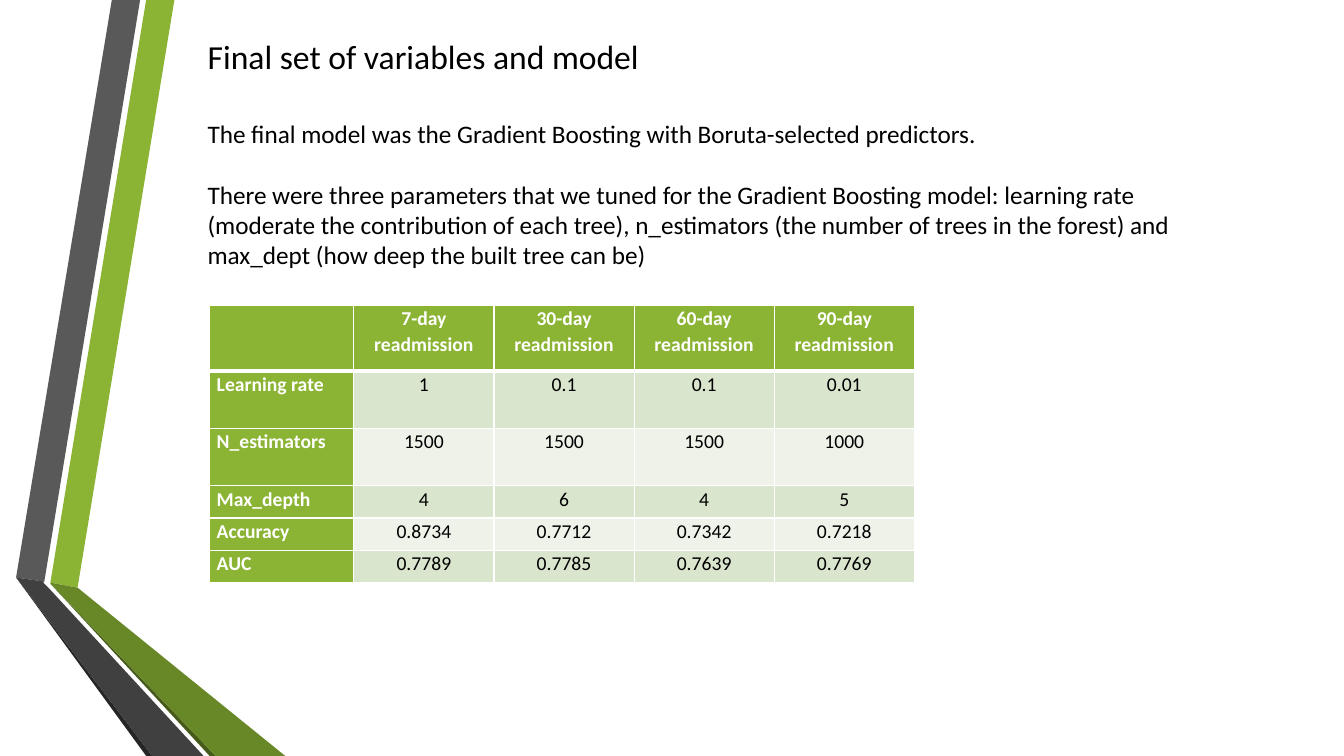
from lxml import etree
from pptx import Presentation
from pptx.dml.color import RGBColor
from pptx.enum.text import MSO_ANCHOR, MSO_AUTO_SIZE, PP_ALIGN
from pptx.oxml.ns import qn
from pptx.util import Inches, Pt

LEFT, CENTER = PP_ALIGN.LEFT, PP_ALIGN.CENTER
TOP = MSO_ANCHOR.TOP
NO_AUTOFIT = MSO_AUTO_SIZE.NONE
TITLE_ONLY = 5

FONT = "Calibri"
GREEN, WHITE, BLACK = "8BB434", "FFFFFF", "000000"
BANDS = ("DAE5CE", "EEF2E8")

RIBBONS = [
    (GREEN, [(0.5, 5.78), (0.77, 5.83), (1.73, 0), (1.45, 0)]),
    ("595959", [(1.39, 0), (1.11, 0), (0.16, 5.73), (0.44, 5.77)]),
    ("262626", [(0.16, 5.73), (1.45, 7.5), (1.51, 7.5)]),
    ("465A1A", [(0.5, 5.79), (2.08, 7.5), (2.14, 7.5)]),
    ("688727", [(0.5, 5.78), (0.5, 5.79), (2.14, 7.5), (2.83, 7.5), (0.77, 5.83)]),
    ("404040", [(2.02, 7.5), (0.48, 5.83), (0.43, 5.78), (0.44, 5.77),
                (0.16, 5.73), (1.51, 7.5)]),
]

PARAGRAPHS = [
    "The final model was the Gradient Boosting with Boruta-selected predictors.",
    "There were three parameters that we tuned for the Gradient Boosting model: "
    "learning rate (moderate the contribution of each tree), n_estimators (the number "
    "of trees in the forest) and max_dept (how deep the built tree can be)",
]

RESULTS = [
    ["", "7-day readmission", "30-day readmission", "60-day readmission",
     "90-day readmission"],
    ["Learning rate", "1", "0.1", "0.1", "0.01"],
    ["N_estimators", "1500", "1500", "1500", "1000"],
    ["Max_depth", "4", "6", "4", "5"],
    ["Accuracy", "0.8734", "0.7712", "0.7342", "0.7218"],
    ["AUC", "0.7789", "0.7785", "0.7639", "0.7769"],
]
COLUMN_WIDTHS = [1.43] + [1.39] * 4
ROW_HEIGHTS = [0.65, 0.57, 0.57, 0.32, 0.32, 0.32]


def rgb(value):
    return RGBColor.from_string(value)


def write(para, text, size, color=BLACK, bold=False, align=LEFT, before=0, spacing=1.0):
    para.alignment = align
    para.space_before = Pt(before)
    para.line_spacing = spacing
    para.font.size = Pt(size)
    if text:
        span = para.add_run()
        span.text = text
        span.font.name = FONT
        span.font.size = Pt(size)
        span.font.bold = bold
        span.font.color.rgb = rgb(color)


def place(shape, left, top, width, height):
    shape.left, shape.top = Inches(left), Inches(top)
    shape.width, shape.height = Inches(width), Inches(height)


def add_ribbon(page, color, points):
    corners = [(Inches(x), Inches(y)) for x, y in points]
    builder = page.shapes.build_freeform(*corners[0])
    builder.add_line_segments(corners[1:], close=True)
    ribbon = builder.convert_to_shape()
    ribbon.shadow.inherit = False
    ribbon.fill.solid()
    ribbon.fill.fore_color.rgb = rgb(color)
    ribbon.line.fill.background()


def set_title(page, text):
    title = page.shapes.title
    place(title, 1.96, 0.31, 4.56, 0.5)
    frame = title.text_frame
    frame.auto_size = NO_AUTOFIT
    frame.word_wrap = False
    frame.vertical_anchor = TOP
    write(frame.paragraphs[0], text, 24)


def add_body(page, texts):
    box = page.shapes.add_textbox(Inches(1.96), Inches(1.12), Inches(10.48), Inches(1.92))
    frame = box.text_frame
    frame.word_wrap = True
    for index, text in enumerate(texts):
        para = frame.add_paragraph() if index else frame.paragraphs[0]
        write(para, text, 18, before=22 if index else 0)


def set_borders(cell, **widths):
    """Draw white edges; widths in points are keyed by L, R, T and B, in that order."""
    properties = cell._tc.get_or_add_tcPr()
    for side, width in widths.items():
        edge = etree.SubElement(properties, qn(f"a:ln{side}"), w=str(Pt(width)))
        fill = etree.SubElement(edge, qn("a:solidFill"))
        etree.SubElement(fill, qn("a:srgbClr"), val=WHITE)


def format_cell(cell, text, row, column):
    is_label = row == 0 or column == 0
    set_borders(cell, L=1, R=1, T=3 if row == 1 else 1, B=3 if row == 0 else 1)
    cell.fill.solid()
    cell.fill.fore_color.rgb = rgb(GREEN if is_label else BANDS[(row - 1) % 2])
    cell.margin_left = cell.margin_right = Inches(0.07)
    cell.margin_top = cell.margin_bottom = 0
    cell.vertical_anchor = TOP
    write(cell.text_frame.paragraphs[0], text, 14, color=WHITE if is_label else BLACK,
          bold=is_label, align=CENTER if column else LEFT, spacing=1.07)


def add_results_table(page):
    frame = page.shapes.add_table(
        len(RESULTS), len(COLUMN_WIDTHS), Inches(2.08), Inches(3.03),
        Inches(sum(COLUMN_WIDTHS)), Inches(sum(ROW_HEIGHTS)))
    table = frame.table
    table.first_col = True
    for column, width in zip(table.columns, COLUMN_WIDTHS):
        column.width = Inches(width)
    for row, height in zip(table.rows, ROW_HEIGHTS):
        row.height = Inches(height)
    for row, texts in enumerate(RESULTS):
        for column, text in enumerate(texts):
            format_cell(table.cell(row, column), text, row, column)


def main():
    deck = Presentation()
    deck.slide_width, deck.slide_height = Inches(13.33), Inches(7.5)
    page = deck.slides.add_slide(deck.slide_layouts[TITLE_ONLY])
    for color, points in RIBBONS:
        add_ribbon(page, color, points)
    set_title(page, "Final set of variables and model")
    add_body(page, PARAGRAPHS)
    add_results_table(page)
    deck.save("out.pptx")


if __name__ == "__main__":
    main()
